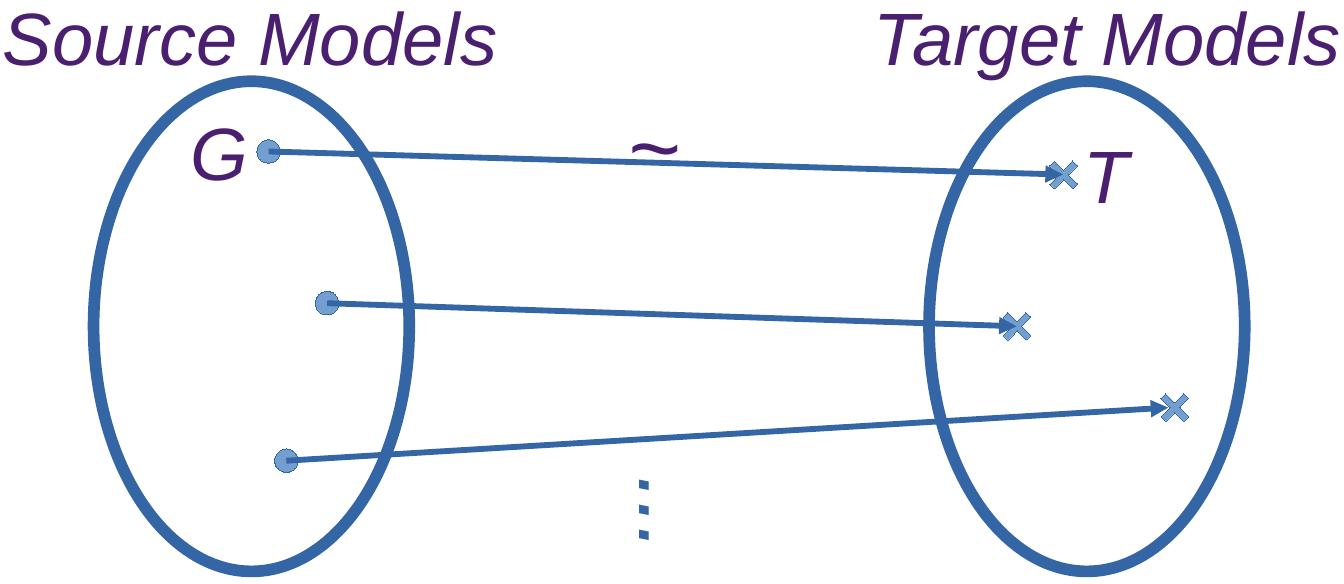
from lxml.etree import SubElement
from pptx import Presentation
from pptx.dml.color import RGBColor
from pptx.enum.shapes import MSO_CONNECTOR, MSO_SHAPE
from pptx.oxml.ns import qn
from pptx.util import Pt

THEME = {
    "font": "Arial", "label": 36, "symbol": 44,
    "text": "4B1F6F", "stroke": "3465A4", "marker": "729FCF",
    "set_line": 5.67, "arrow_line": 2.83, "hairline": 0,
}
SLIDE_WIDTH, SLIDE_HEIGHT = 652.32, 283.68
SET_SIZE = (153.2, 238.1)
SET_TOP = 39.5
SET_LEFTS = {"source": 45.4, "target": 450.9}
DOT_SIZE, CROSS_SIZE = 11.4, 15.8
CROSS_TURN, CROSS_ADJUST = 44.5, 0.398

MAPPINGS = [
    {"source": (130.4, 73.6), "target": (516.3, 85), "tip": (515.9, 84.8)},
    {"source": (158.8, 147.3), "target": (493.6, 158.5), "tip": (493.4, 158.5)},
    {"source": (139, 223.8), "target": (570.2, 198), "tip": (567, 198)},
]
LABELS = [
    ("T", (518.6, 59.5, 33.8, 47.5), "label", "text", 0),
    ("~", (297.7, 39.6, 42.5, 56.2), "symbol", "text", 0),
    ("...", (277.9, 198.4, 54, 105.8), "symbol", "stroke", 90),
    ("G", (85.3, 48.2, 39.6, 47.5), "label", "text", 0),
    ("Source Models", (-5.8, -7.9, 260.6, 47.5), "label", "text", 0),
    ("Target Models", (416.9, -7.9, 246.2, 47.5), "label", "text", 0),
]


def color(name):
    return RGBColor.from_string(THEME[name])


def points(*values):
    return [Pt(value) for value in values]


def set_stroke(line, width):
    line.color.rgb = color("stroke")
    line._get_or_add_ln().set("w", str(Pt(THEME[width])))


def add_outlined(slide, kind, box, width, fill=None):
    shape = slide.shapes.add_shape(kind, *points(*box))
    shape.shadow.inherit = False
    if fill:
        shape.fill.solid()
        shape.fill.fore_color.rgb = color(fill)
    else:
        shape.fill.background()
    set_stroke(shape.line, width)
    return shape


def add_set(slide, left):
    add_outlined(slide, MSO_SHAPE.OVAL, (left, SET_TOP, *SET_SIZE), "set_line")


def add_marker(slide, kind, center, size):
    x, y = center
    box = (x - size / 2, y - size / 2, size, size)
    return add_outlined(slide, kind, box, "hairline", "marker")


def add_arrow(slide, start, tip):
    arrow = slide.shapes.add_connector(MSO_CONNECTOR.STRAIGHT, *points(*start, *tip))
    set_stroke(arrow.line, "arrow_line")
    SubElement(arrow.line._get_or_add_ln(), qn("a:tailEnd"), type="triangle")
    SubElement(arrow._element.spPr, qn("a:effectLst"))


def add_label(slide, words, box, size, ink, turn):
    label = slide.shapes.add_textbox(*points(*box))
    label.rotation = turn
    label.text_frame.word_wrap = True
    run = label.text_frame.paragraphs[0].add_run()
    run.text = words
    run.font.name = THEME["font"]
    run.font.size = Pt(THEME[size])
    run.font.italic = True
    run.font.color.rgb = color(ink)


def main():
    deck = Presentation()
    deck.slide_width = Pt(SLIDE_WIDTH)
    deck.slide_height = Pt(SLIDE_HEIGHT)
    slide = deck.slides.add_slide(deck.slide_layouts[6])

    add_set(slide, SET_LEFTS["source"])
    for mapping in MAPPINGS:
        add_marker(slide, MSO_SHAPE.OVAL, mapping["source"], DOT_SIZE)
    add_set(slide, SET_LEFTS["target"])
    for mapping in MAPPINGS:
        cross = add_marker(slide, MSO_SHAPE.CROSS, mapping["target"], CROSS_SIZE)
        cross.rotation = CROSS_TURN
        cross.adjustments[0] = CROSS_ADJUST
    for mapping in MAPPINGS:
        add_arrow(slide, mapping["source"], mapping["tip"])
    for label in LABELS:
        add_label(slide, *label)

    deck.save("out.pptx")


if __name__ == "__main__":
    main()
